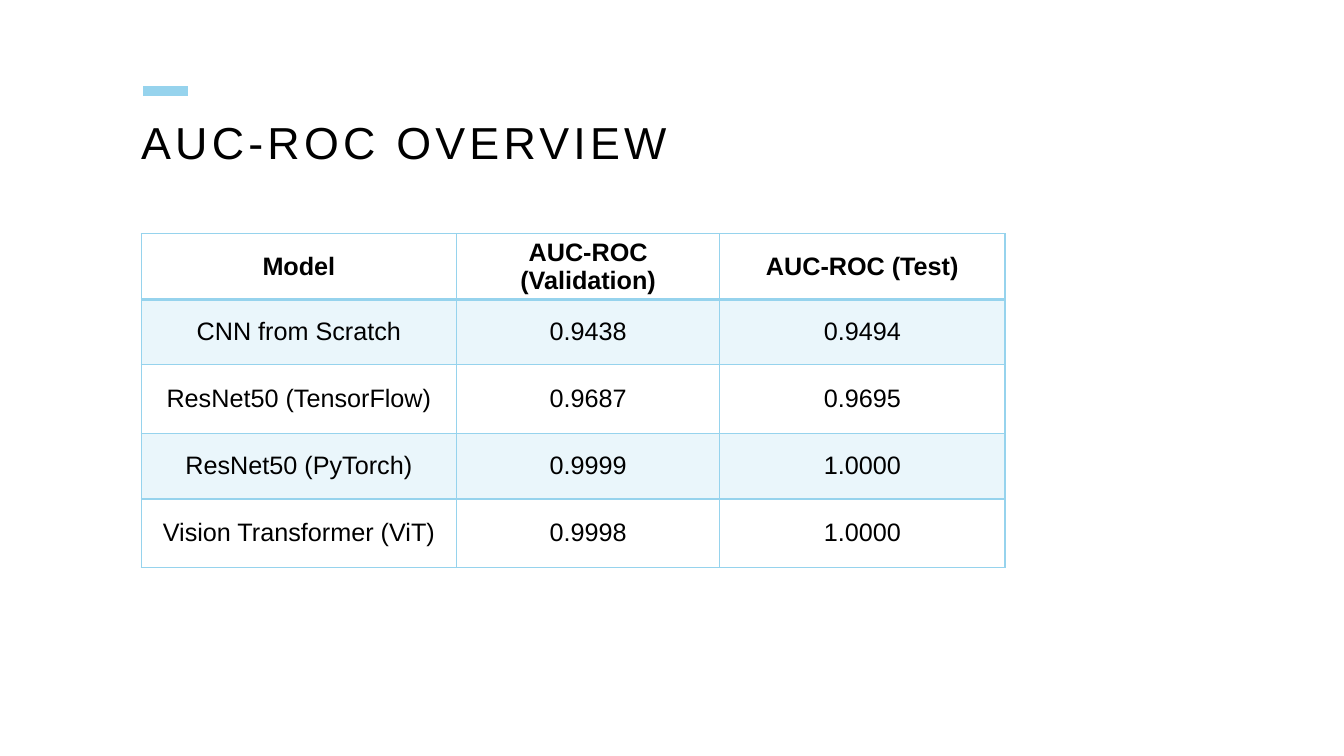
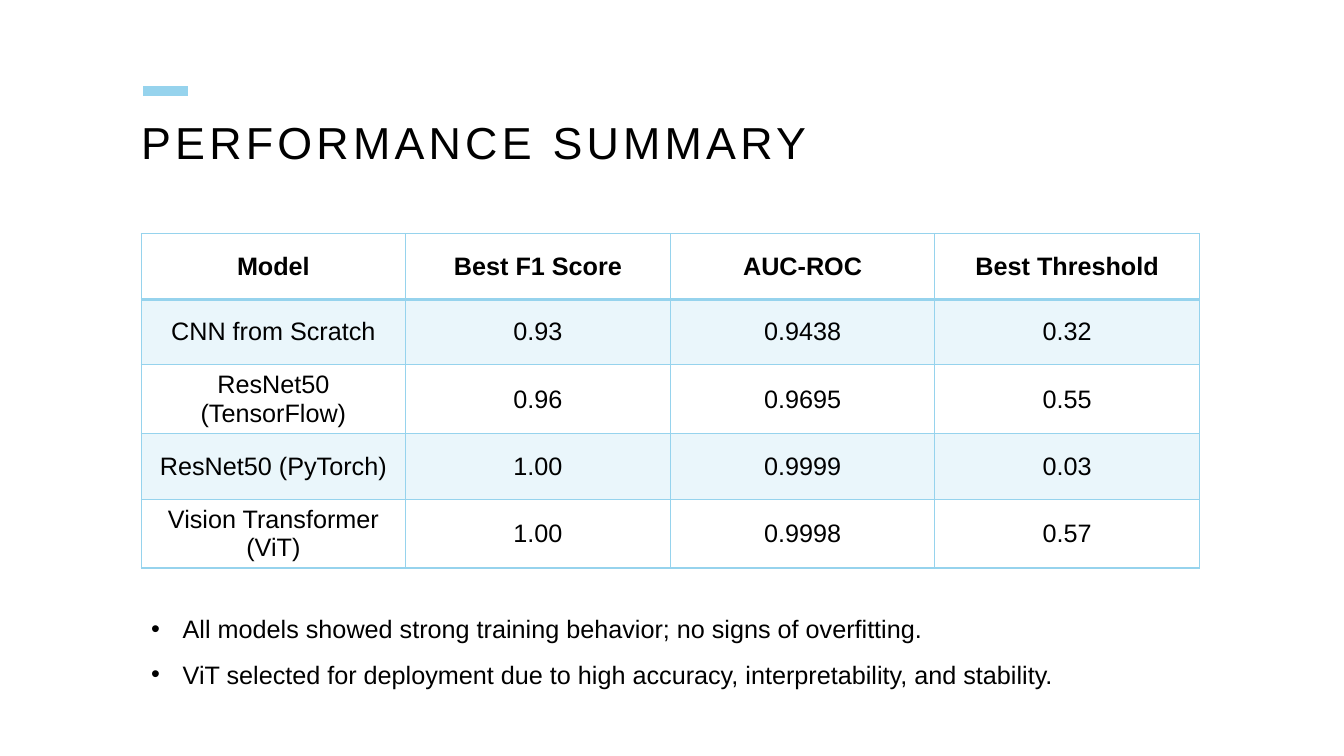
from lxml.etree import SubElement
from pptx import Presentation
from pptx.dml.color import RGBColor
from pptx.enum.shapes import MSO_CONNECTOR
from pptx.enum.text import MSO_ANCHOR, MSO_AUTO_SIZE, PP_ALIGN
from pptx.oxml import parse_xml
from pptx.oxml.ns import nsdecls, qn
from pptx.util import Pt

COLORS = {"text": "000000", "accent": "96D3ED"}
LEFT, WIDTH = 100.8, 756
ROW_HEIGHTS = [46.8, 46.8, 49, 46.8, 49]
BAND_ALPHA = 20000

TITLE_FRAME = {
    "margin_left": 0, "margin_top": 0, "margin_right": 0, "margin_bottom": 0,
    "vertical_anchor": MSO_ANCHOR.TOP, "auto_size": MSO_AUTO_SIZE.NONE, "word_wrap": True,
}
BODY_FRAME = {
    "vertical_anchor": MSO_ANCHOR.TOP, "auto_size": MSO_AUTO_SIZE.SHAPE_TO_FIT_TEXT, "word_wrap": True,
}
CELL_FORMAT = {
    "vertical_anchor": MSO_ANCHOR.MIDDLE, "margin_top": Pt(3), "margin_bottom": Pt(3),
}

PAGES = [
    {
        "title": "AUC-ROC OVERVIEW",
        "columns": [225.4, 187.9, 203.8],
        "rows": [
            ["Model", "AUC-ROC (Validation)", "AUC-ROC (Test)"],
            ["CNN from Scratch", "0.9438", "0.9494"],
            ["ResNet50 (TensorFlow)", "0.9687", "0.9695"],
            ["ResNet50 (PyTorch)", "0.9999", "1.0000"],
            ["Vision Transformer (ViT)", "0.9998", "1.0000"],
        ],
        "bullets": [],
    },
    {
        "title": "PERFORMANCE SUMMARY",
        "columns": [WIDTH / 4] * 4,
        "rows": [
            ["Model", "Best F1 Score", "AUC-ROC", "Best Threshold"],
            ["CNN from Scratch", "0.93", "0.9438", "0.32"],
            ["ResNet50 (TensorFlow)", "0.96", "0.9695", "0.55"],
            ["ResNet50 (PyTorch)", "1.00", "0.9999", "0.03"],
            ["Vision Transformer (ViT)", "1.00", "0.9998", "0.57"],
        ],
        "bullets": [
            "All models showed strong training behavior; no signs of overfitting.",
            "ViT selected for deployment due to high accuracy, interpretability, and stability.",
        ],
    },
]


def apply_format(target, values):
    for name, value in values.items():
        setattr(target, name, value)


def write_text(para, text, size=18, bold=False, **layout):
    apply_format(para, layout)
    span = para.add_run()
    span.text = text
    apply_format(span.font, {"name": "Arial", "size": Pt(size), "bold": bold})
    span.font.color.rgb = RGBColor.from_string(COLORS["text"])
    return span


deck = Presentation()
deck.slide_width, deck.slide_height = Pt(960), Pt(540)
title_and_content, title_only = deck.slide_layouts[1], deck.slide_layouts[5]

for content in PAGES:
    page = deck.slides.add_slide(title_and_content if content["bullets"] else title_only)

    # Accent bar above the title
    bar = page.shapes.add_connector(MSO_CONNECTOR.STRAIGHT, Pt(102.2), Pt(64.8), Pt(134.6), Pt(64.8))
    bar.line.width = Pt(7)
    bar.line.color.rgb = RGBColor.from_string(COLORS["accent"])
    SubElement(bar._element.spPr, qn("a:effectLst"))

    # Title
    title = page.shapes.title
    apply_format(title, {"left": Pt(LEFT), "top": Pt(86.4), "width": Pt(WIDTH), "height": Pt(72)})
    apply_format(title.text_frame, TITLE_FRAME)
    span = write_text(title.text_frame.paragraphs[0], content["title"], size=32,
                      alignment=PP_ALIGN.LEFT, line_spacing=0.9)
    span.font._element.set("spc", "300")

    # Table
    rows, columns = content["rows"], content["columns"]
    table = page.shapes.add_table(len(rows), len(columns), Pt(LEFT), Pt(167),
                                  Pt(sum(columns)), Pt(sum(ROW_HEIGHTS))).table
    apply_format(table, {"first_row": False, "horz_banding": False})
    for column, width in zip(table.columns, columns):
        column.width = Pt(width)
    for row, height in zip(table.rows, ROW_HEIGHTS):
        row.height = Pt(height)

    for row_index, row in enumerate(rows):
        for column_index, text in enumerate(row):
            cell = table.cell(row_index, column_index)
            apply_format(cell, CELL_FORMAT)
            write_text(cell.text_frame.paragraphs[0], text, bold=row_index == 0,
                       alignment=PP_ALIGN.CENTER)

            # Tinted odd rows
            if row_index % 2:
                cell.fill.solid()
                cell.fill.fore_color.rgb = RGBColor.from_string(COLORS["accent"])
                tint = cell._tc.tcPr.find(".//" + qn("a:srgbClr"))
                SubElement(tint, qn("a:alpha"), val=str(BAND_ALPHA))
            else:
                cell.fill.background()

            # Borders, with a thicker rule under the header
            for position, side in enumerate("LRTB"):
                thick = (row_index, side) in [(0, "B"), (1, "T")]
                cell._tc.tcPr.insert(position, parse_xml(
                    f'<a:ln{side} {nsdecls("a")} w="{Pt(2 if thick else 1)}"><a:solidFill>'
                    f'<a:srgbClr val="{COLORS["accent"]}"/></a:solidFill></a:ln{side}>'))

    # Bullets below the table
    if content["bullets"]:
        body = page.placeholders[1]
        apply_format(body, {"left": Pt(LEFT), "top": Pt(424), "width": Pt(665), "height": Pt(68.4)})
        frame = body.text_frame
        apply_format(frame, BODY_FRAME)
        for index, text in enumerate(content["bullets"]):
            para = frame.add_paragraph() if index else frame.paragraphs[0]
            properties = para._p.get_or_add_pPr()
            properties.set("marL", str(Pt(22.5)))
            properties.set("indent", str(Pt(-22.5)))
            SubElement(properties, qn("a:buFont"), typeface="Arial")
            SubElement(properties, qn("a:buChar"), char="•")
            write_text(para, text, alignment=PP_ALIGN.LEFT, line_spacing=1.5, space_before=Pt(0))

deck.save("out.pptx")
